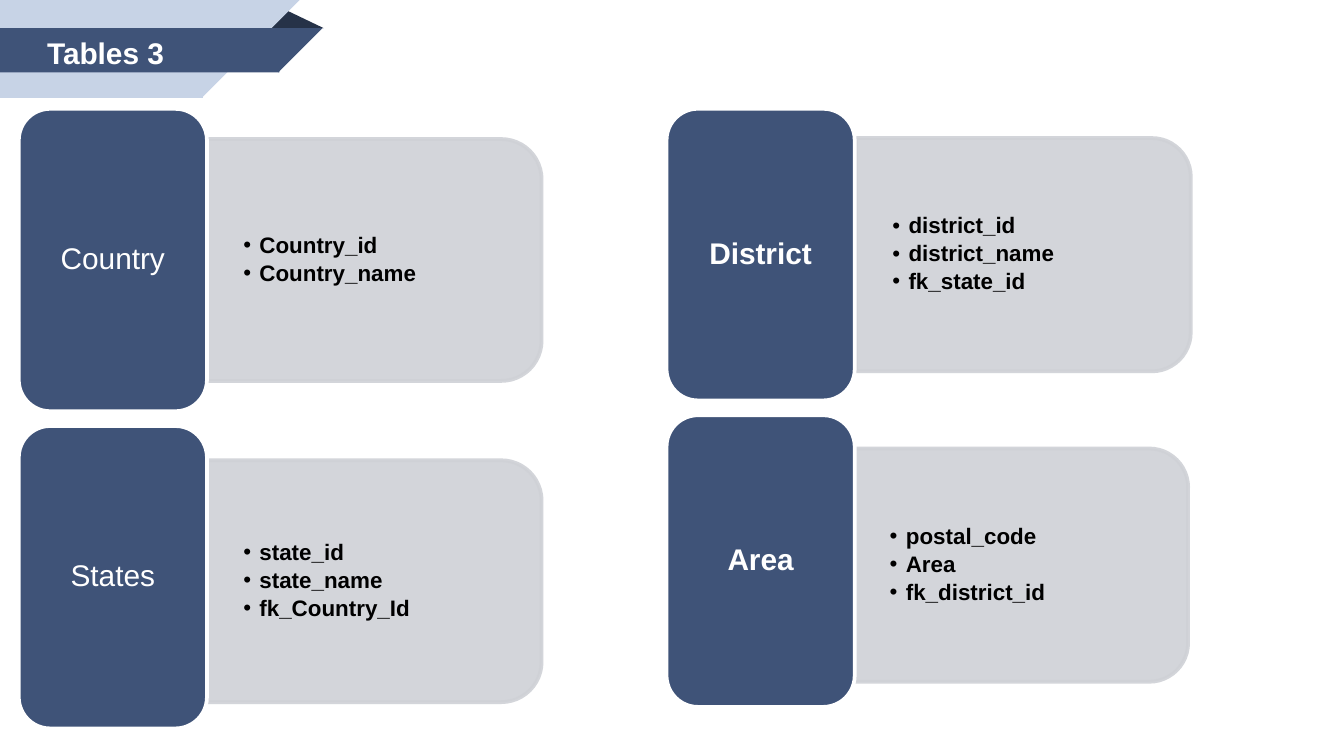
from lxml.etree import SubElement
from pptx import Presentation
from pptx.dml.color import RGBColor
from pptx.enum.shapes import MSO_SHAPE
from pptx.enum.text import MSO_ANCHOR, MSO_AUTO_SIZE, PP_ALIGN
from pptx.oxml.ns import qn
from pptx.util import Inches, Pt

NAVY = RGBColor(0x3F, 0x53, 0x78)
DARK = RGBColor(0x26, 0x32, 0x48)
PALE = RGBColor(0xC7, 0xD3, 0xE6)
GRAY = RGBColor(0xCF, 0xD1, 0xD6)
WHITE = RGBColor(0xFF, 0xFF, 0xFF)
BLACK = RGBColor(0, 0, 0)

LABEL_W = 1.4
CARD_W = 2.49
LIST_W = 2.41

# name, bold, label left, top and height, card shift right and down, fields
TABLES = [
    ("Country", False, 0.14, 0.81, 2.25, 0, 0,
     ["Country_id", "Country_name"]),
    ("States", False, 0.14, 3.17, 2.25, 0, 0.03,
     ["state_id", "state_name", "fk_Country_Id"]),
    ("District", True, 4.96, 0.81, 2.17, 0.01, 0,
     ["district_id", "district_name", "fk_state_id"]),
    ("Area", True, 4.96, 3.09, 2.17, -0.01, 0.03,
     ["postal_code", "Area", "fk_district_id"]),
]


def add_block(slide, kind, box, fill, line=None):
    shape = slide.shapes.add_shape(kind, *map(Inches, box))
    shape.shadow.inherit = False
    shape.fill.solid()
    shape.fill.fore_color.rgb = fill
    if line is None:
        shape.line.fill.background()
    else:
        shape.line.color.rgb = line
        shape.line.width = Pt(2)
    return shape


def place(holder, box):
    """Position a placeholder and bring it in front of the shapes so far."""
    holder.left, holder.top, holder.width, holder.height = map(Inches, box)
    holder.element.getparent().append(holder.element)
    frame = holder.text_frame
    frame.word_wrap = True
    frame.auto_size = MSO_AUTO_SIZE.NONE
    return frame


def set_font(para, size, color, bold):
    font = para.font
    font.name = "Arial"
    font.size = Pt(size)
    font.bold = bold
    font.color.rgb = color


def add_ribbon(slide, top, width, height, color):
    """Draw a band from the left edge that ends in a slanted tip."""
    overlap = 0.01
    add_block(slide, MSO_SHAPE.RECTANGLE,
              (0, top, width + overlap, height), color)
    tip = add_block(slide, MSO_SHAPE.RIGHT_TRIANGLE,
                    (width, top, height, height), color)
    tip.rotation = 90


def add_header(slide):
    fold = add_block(slide, MSO_SHAPE.ISOSCELES_TRIANGLE,
                     (1.98, 0.07, 0.43, 0.14), DARK)
    fold.adjustments[0] = 0.32
    add_ribbon(slide, 0, 1.5, 0.73, PALE)
    add_ribbon(slide, 0.21, 2.07, 0.33, NAVY)
    frame = place(slide.shapes.title, (0.25, 0.21, 1.55, 0.37))
    frame.vertical_anchor = MSO_ANCHOR.TOP
    frame.text = "Tables 3"
    para = frame.paragraphs[0]
    para.alignment = PP_ALIGN.LEFT
    para.line_spacing = 1
    para.space_before = Pt(0)
    set_font(para, 16, WHITE, True)


def add_card(slide, left, mid, height):
    """Draw a card rounded on its right side, by turning a round-topped one."""
    box = (left + (CARD_W - height) / 2, mid - CARD_W / 2, height, CARD_W)
    card = add_block(slide, MSO_SHAPE.ROUND_2_SAME_RECTANGLE, box, GRAY, GRAY)
    card.rotation = 90
    for color in card.element.spPr.iter(qn("a:srgbClr")):
        SubElement(color, qn("a:alpha"), val="90000")


def add_bullet(para):
    props = para._p.get_or_add_pPr()
    props.set("marL", str(Inches(0.12)))
    props.set("indent", str(Inches(-0.12)))
    SubElement(props, qn("a:buFont"), typeface="Arial")
    SubElement(props, qn("a:buChar"), char="•")


def add_fields(holder, left, mid, height, fields):
    frame = place(holder, (left, mid - height / 2, LIST_W, height))
    frame.vertical_anchor = MSO_ANCHOR.MIDDLE
    frame.margin_left = frame.margin_right = Inches(0.27)
    frame.margin_top = frame.margin_bottom = Inches(0.14)
    frame.text = "\n".join(fields)
    for para in frame.paragraphs:
        para.alignment = PP_ALIGN.LEFT
        para.line_spacing = 0.9
        para.space_before = Pt(0)
        para.space_after = Pt(2)
        add_bullet(para)
        set_font(para, 12, BLACK, True)


def add_label(slide, name, bold, box):
    label = add_block(slide, MSO_SHAPE.ROUNDED_RECTANGLE, box, NAVY, WHITE)
    frame = label.text_frame
    frame.vertical_anchor = MSO_ANCHOR.MIDDLE
    frame.margin_left = frame.margin_right = Inches(0.07)
    frame.margin_top = frame.margin_bottom = Inches(0.03)
    frame.text = name
    para = frame.paragraphs[0]
    para.alignment = PP_ALIGN.CENTER
    para.line_spacing = 0.9
    set_font(para, 16, WHITE, bold)


def add_table_card(slide, holder, table):
    name, bold, left, top, height, right, down, fields = table
    start = left + LABEL_W + right
    mid = top + height / 2 + down
    tall = height * 0.8
    add_card(slide, start, mid, tall)
    add_fields(holder, start, mid, tall * 0.9, fields)
    add_label(slide, name, bold, (left, top, LABEL_W, height))


def main():
    deck = Presentation()
    deck.slide_width = Inches(10)
    deck.slide_height = deck.slide_width * 9 // 16
    # The comparison layout has a title and four body placeholders.
    slide = deck.slides.add_slide(deck.slide_layouts[4])
    bodies = list(slide.placeholders)[1:]
    add_header(slide)
    for holder, table in zip(bodies, TABLES):
        add_table_card(slide, holder, table)
    deck.save("out.pptx")


if __name__ == "__main__":
    main()
